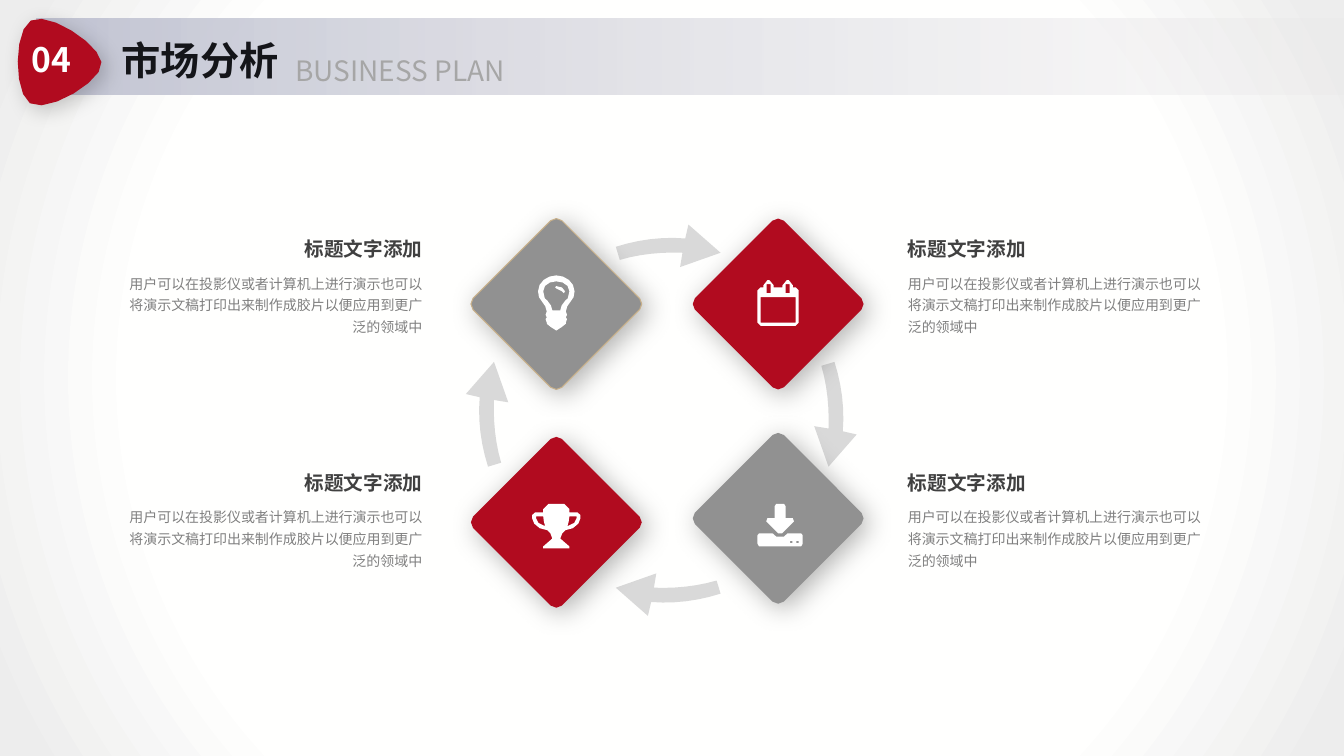
from math import dist

from lxml.etree import SubElement
from pptx import Presentation
from pptx.dml.color import RGBColor
from pptx.enum.shapes import MSO_SHAPE as Shape
from pptx.enum.text import MSO_AUTO_SIZE as AutoSize, PP_ALIGN as Align
from pptx.oxml.ns import qn
from pptx.util import Cm, Pt

RED = RGBColor(0xB1, 0x0B, 0x1F)
GREY = RGBColor(0x91, 0x91, 0x91)
GOLD = RGBColor(0xC8, 0xB0, 0x8A)
ARROW_GREY = RGBColor(0xD9, 0xD9, 0xD9)
WHITE = RGBColor(0xFF, 0xFF, 0xFF)
IVORY = RGBColor(0xFF, 0xFF, 0xFE)
MIST = RGBColor(0xED, 0xED, 0xED)
BAND_START = RGBColor(0xC3, 0xC5, 0xD4)
BAND_END = RGBColor(0xE7, 0xE5, 0xE6)
INK = RGBColor(0x14, 0x15, 0x19)
SUBTITLE_GREY = RGBColor(0xA6, 0xA6, 0xA6)
HEADING_GREY = RGBColor(0x40, 0x40, 0x40)
BODY_GREY = RGBColor(0x80, 0x80, 0x80)

FONT = "Noto Sans CJK SC"
WIDTH, HEIGHT = 33.87, 19.05
HEADING = "标题文字添加"
BODY = "用户可以在投影仪或者计算机上进行演示也可以将演示文稿打印出来制作成胶片以便应用到更广泛的领域中"


def trace(*segments):
    """Return the points of a path; pairs are corners, sextuples are Bezier curves."""
    points = []
    for segment in segments:
        if len(segment) == 2:
            points.append(segment)
            continue
        knots = [points[-1], segment[:2], segment[2:4], segment[4:]]
        steps = min(6, max(1, round(dist(knots[0], knots[3]) / 0.15)))
        for step in range(1, steps + 1):
            t = step / steps
            weights = ((1 - t) ** 3, 3 * t * (1 - t) ** 2, 3 * t * t * (1 - t), t ** 3)
            points.append(tuple(sum(w * knot[axis] for w, knot in zip(weights, knots))
                                for axis in (0, 1)))
    return points


def flip(points):
    """Mirror points across the vertical axis."""
    return [(-x, y) for x, y in reversed(points)]


def whole(*segments):
    """Complete a right half with its mirror image."""
    half = trace(*segments)
    return half + flip(half)


def turn(points, quarters):
    """Rotate points clockwise by quarter turns."""
    for _ in range(quarters):
        points = [(-y, x) for x, y in points]
    return points


def box(left, top, right, bottom):
    """Return the corners of a rectangle."""
    return [(left, top), (right, top), (right, bottom), (left, bottom)]


BULB = [
    whole((0, -0.72), (0.23, -0.72, 0.46, -0.55, 0.46, -0.32),
          (0.46, -0.19, 0.43, -0.14, 0.36, -0.06), (0.3, 0, 0.24, 0.11, 0.24, 0.19),
          (0.27, 0.27), (0.24, 0.34), (0.27, 0.38), (0.24, 0.47), (0.24, 0.5),
          (0.24, 0.56, 0.2, 0.58, 0.14, 0.58), (0.11, 0.65, 0.06, 0.67, 0, 0.67)),
    whole((0, -0.57), (0.17, -0.57, 0.33, -0.48, 0.33, -0.32),
          (0.33, -0.24, 0.33, -0.19, 0.29, -0.14), (0.27, -0.11, 0.25, -0.11, 0.23, -0.09),
          (0.15, 0, 0.1, 0.08, 0.1, 0.16)),
    trace((0.19, -0.27), (0.16, -0.27, 0.14, -0.29, 0.14, -0.32),
          (0.14, -0.36, 0.06, -0.39, 0, -0.39), (-0.03, -0.42), (0, -0.45),
          (0.09, -0.45, 0.22, -0.4, 0.22, -0.32)),
]
RING_HOLE = box(0.19, -0.5, 0.29, -0.27)
CALENDAR = [
    whole((0.11, -0.42), (0.11, -0.47), (0.11, -0.55, 0.16, -0.6, 0.22, -0.6), (0.27, -0.6),
          (0.32, -0.6, 0.37, -0.55, 0.37, -0.47), (0.37, -0.42), (0.44, -0.42),
          (0.49, -0.42, 0.52, -0.38, 0.52, -0.34), (0.52, 0.47),
          (0.52, 0.52, 0.49, 0.55, 0.44, 0.55)),
    box(-0.44, -0.17, 0.44, 0.47), RING_HOLE, flip(RING_HOLE),
]
DOWNLOAD = [
    whole((0.1, 0.46), (0.19, 0.38), (0.53, 0.38), (0.57, 0.43), (0.57, 0.64), (0.53, 0.71)),
    whole((0.1, -0.36), (0.14, -0.3), (0.14, 0), (0.32, 0), (0.35, 0.08), (0.05, 0.38)),
    box(0.25, 0.57, 0.31, 0.63), box(0.41, 0.57, 0.47, 0.63),
]
HANDLE_HOLE = trace((0.33, -0.15), (0.51, -0.15), (0.51, -0.1),
                    (0.51, -0.03, 0.43, 0.08, 0.28, 0.1), (0.3, 0.03, 0.33, -0.05, 0.33, -0.15))
TROPHY = [
    whole((0.2, -0.46), (0.28, -0.46, 0.33, -0.41, 0.33, -0.33), (0.33, -0.25), (0.53, -0.25),
          (0.58, -0.25, 0.61, -0.22, 0.61, -0.18), (0.61, -0.1),
          (0.61, 0.03, 0.43, 0.2, 0.23, 0.2), (0.15, 0.28), (0.1, 0.41), (0.18, 0.48),
          (0.25, 0.48, 0.33, 0.53, 0.33, 0.61), (0.33, 0.66)),
    HANDLE_HOLE, flip(HANDLE_HOLE),
]
ARROW = trace((0.36, 0.19), (0.3, 0.55), (1.32, 0.19), (0.51, -0.52), (0.43, -0.17),
              (-0.15, -0.22, -0.76, -0.14, -1.32, 0.04), (-1.22, 0.37),
              (-0.71, 0.22, -0.18, 0.17, 0.36, 0.19))
TIP = trace((0.14, 2.1), (0.06, 2.17, -0.06, 2.17, -0.14, 2.1))
DIAMOND = [point for quarter in range(4) for point in turn(TIP, quarter)]
BADGE = trace((0.48, 2.39), (0.15, 2.01, 0.56, 0.51, 1.04, 0.38),
              (1.52, 0.25, 2.54, 1.37, 2.49, 1.85), (2.46, 2.31, 0.84, 2.77, 0.48, 2.39))


def add_outline(slide, center, contours, color, edge=None):
    """Draw closed contours around a center given in centimetres."""
    places = [[(Cm(center[0] + x), Cm(center[1] + y)) for x, y in contour]
              for contour in contours]
    builder = slide.shapes.build_freeform(*places[0][0])
    for index, contour in enumerate(places):
        if index:
            builder.move_to(*contour[0])
        builder.add_line_segments(contour[1:], close=True)
    outline = builder.convert_to_shape()
    outline.shadow.inherit = False
    outline.fill.solid()
    outline.fill.fore_color.rgb = color
    if edge is None:
        outline.line.fill.background()
    else:
        outline.line.color.rgb = edge
        outline.line.width = Pt(0.75)
    return outline


def add_shadow(outline, opacity, blur):
    """Give an outline a soft shadow to the lower right."""
    effects = outline._element.spPr.find(qn("a:effectLst"))
    shadow = SubElement(effects, qn("a:outerShdw"), blurRad=str(Pt(blur)), dist=str(Pt(5)),
                        dir="2700000", algn="tl", rotWithShape="0")
    tint = SubElement(shadow, qn("a:srgbClr"), val="000000")
    SubElement(tint, qn("a:alpha"), val=str(opacity * 1000))


def add_gradient(slide, left, top, width, height, stops):
    """Draw a borderless rectangle with a two-stop gradient and return its gradient."""
    panel = slide.shapes.add_shape(Shape.RECTANGLE, Cm(left), Cm(top), Cm(width), Cm(height))
    panel.shadow.inherit = False
    panel.line.fill.background()
    panel.fill.gradient()
    panel.fill.gradient_angle = 0
    for stop, (position, color) in zip(panel.fill.gradient_stops, stops):
        stop.position = position
        stop.color.rgb = color
    return panel._element.spPr.find(qn("a:gradFill"))


def add_backdrop(slide):
    """Cover the slide with a radial gradient."""
    gradient = add_gradient(slide, 0, 0, WIDTH, HEIGHT, [(0.69, IVORY), (0.97, MIST)])
    gradient.remove(gradient.find(qn("a:lin")))
    radial = SubElement(gradient, qn("a:path"), path="circle")
    SubElement(radial, qn("a:fillToRect"), l="50000", t="50000", r="50000", b="50000")


def add_text(slide, place, words, color, size, bold=False, align=Align.LEFT, spacing=1.0,
             wrap=False):
    """Write one paragraph in a text box."""
    label = slide.shapes.add_textbox(*(Cm(length) for length in place))
    frame = label.text_frame
    paragraph = frame.paragraphs[0]
    run = paragraph.add_run()
    run.text = words
    for target, formats in (
            (frame, {"word_wrap": wrap, "auto_size": AutoSize.SHAPE_TO_FIT_TEXT}),
            (paragraph, {"alignment": align, "line_spacing": spacing}),
            (run.font, {"name": FONT, "size": Pt(size), "bold": bold})):
        for key, value in formats.items():
            setattr(target, key, value)
    run.font.color.rgb = color
    SubElement(run._r.get_or_add_rPr(), qn("a:ea"), typeface=FONT)


def add_header(slide):
    """Draw the title band with its numbered badge."""
    band = add_gradient(slide, 0.91, 0.48, 32.95, 1.91, [(0, BAND_START), (1, BAND_END)])
    SubElement(band.findall(".//" + qn("a:srgbClr"))[-1], qn("a:alpha"), val="20000")
    add_text(slide, (7.19, 1.22, 6.02, 1.12), "BUSINESS PLAN", SUBTITLE_GREY, 20)
    add_text(slide, (2.82, 0.79, 4.52, 1.45), "市场分析", INK, 28, True)
    badge = add_outline(slide, (0, 0), [BADGE], RED)
    badge.rotation = 345
    add_shadow(badge, 20, 15)
    add_text(slide, (0.51, 0.86, 1.57, 1.27), "04", WHITE, 24, True, Align.CENTER)


def main():
    """Build the market analysis slide."""
    deck = Presentation()
    deck.slide_width, deck.slide_height = Cm(WIDTH), Cm(HEIGHT)
    slide = deck.slides.add_slide(deck.slide_layouts[6])
    add_backdrop(slide)
    for quarter, center in enumerate([(16.84, 6.18), (21.07, 10.44), (16.84, 15), (12.26, 10.44)]):
        add_outline(slide, center, [turn(ARROW, quarter)], ARROW_GREY)
    for x, y, color, edge, icon, shift in (
            (14.02, 7.66, GREY, GOLD, BULB, 0), (19.61, 7.66, RED, None, CALENDAR, 0),
            (19.61, 13.06, GREY, None, DOWNLOAD, 0.05), (14.02, 13.16, RED, None, TROPHY, 0)):
        add_shadow(add_outline(slide, (x, y), [DIAMOND], color, edge), 30, 20)
        add_outline(slide, (x + shift, y), icon, WHITE)
    for body_left, heading_left, align in ((22.63, 22.63, Align.LEFT), (2.97, 7.39, Align.RIGHT)):
        for top in (5.68, 11.57):
            add_text(slide, (body_left, top + 1, 7.92, 1.93), BODY, BODY_GREY, 10,
                     align=align, spacing=1.3, wrap=True)
            add_text(slide, (heading_left, top, 3.51, 0.97), HEADING, HEADING_GREY, 14, True,
                     align, 1.3)
    add_header(slide)
    deck.save("out.pptx")


if __name__ == "__main__":
    main()
